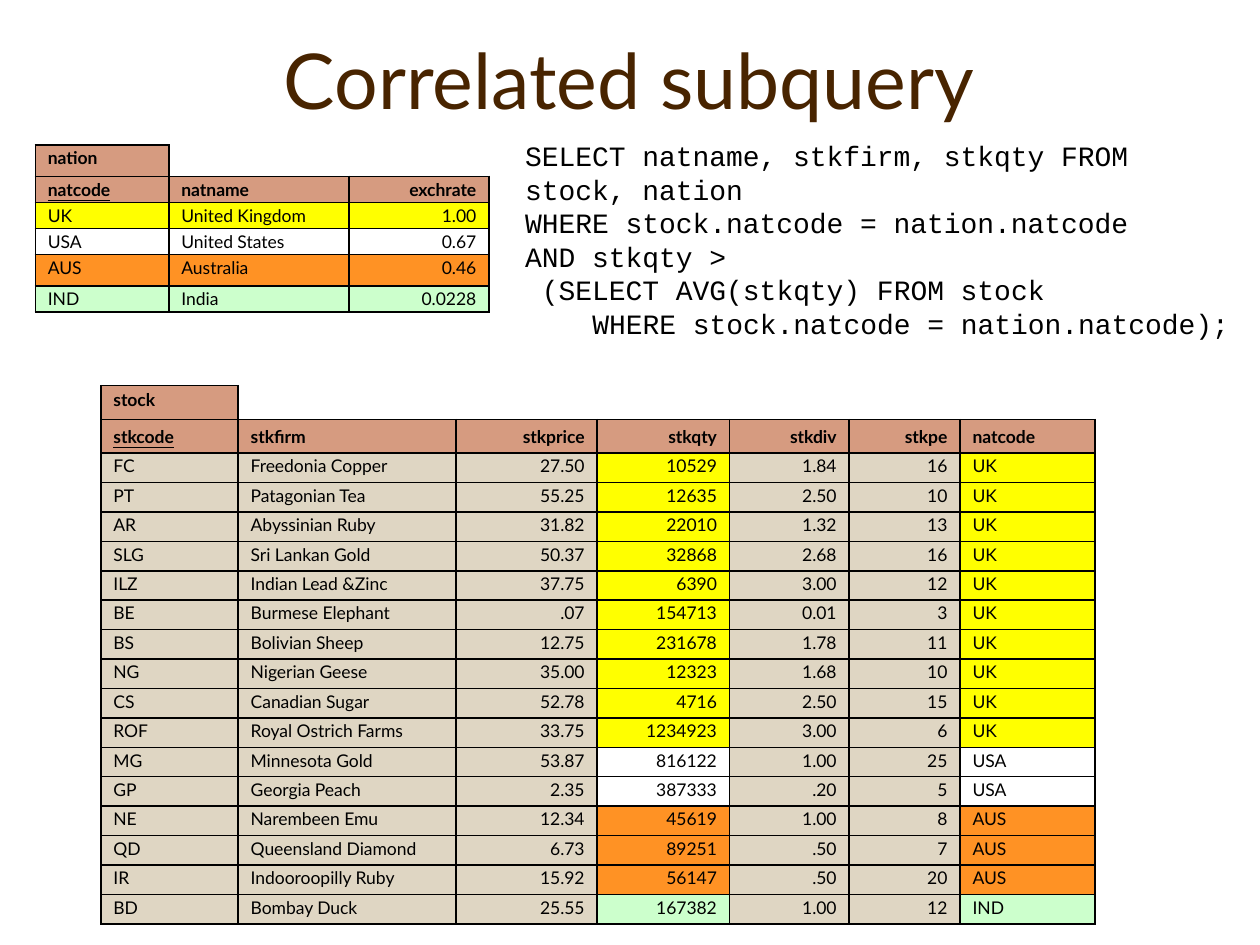
from lxml import etree
from pptx import Presentation
from pptx import util as u
from pptx.dml.color import RGBColor
from pptx.enum import text
from pptx.oxml import ns

BLACK = RGBColor(0x00, 0x00, 0x00)
BROWN = RGBColor(0x48, 0x24, 0x00)
CLAY = RGBColor(0xD6, 0x9B, 0x80)
SAND = RGBColor(0xDF, 0xD6, 0xC3)
NATION_COLOURS = {
    "UK": RGBColor(0xFF, 0xFF, 0x00),
    "USA": RGBColor(0xFF, 0xFF, 0xFF),
    "AUS": RGBColor(0xFF, 0x92, 0x24),
    "IND": RGBColor(0xCC, 0xFF, 0xCC),
}
NATION_HEADS = ["natcode", "natname", "exchrate"]
NATIONS = [
    ["UK", "United Kingdom", "1.00"],
    ["USA", "United States", "0.67"],
    ["AUS", "Australia", "0.46"],
    ["IND", "India", "0.0228"],
]
STOCK_HEADS = ["stkcode", "stkfirm", "stkprice", "stkqty", "stkdiv", "stkpe", "natcode"]
STOCKS = [
    ["FC", "Freedonia Copper", "27.50", "10529", "1.84", "16", "UK"],
    ["PT", "Patagonian Tea", "55.25", "12635", "2.50", "10", "UK"],
    ["AR", "Abyssinian Ruby", "31.82", "22010", "1.32", "13", "UK"],
    ["SLG", "Sri Lankan Gold", "50.37", "32868", "2.68", "16", "UK"],
    ["ILZ", "Indian Lead &Zinc", "37.75", "6390", "3.00", "12", "UK"],
    ["BE", "Burmese Elephant", ".07", "154713", "0.01", "3", "UK"],
    ["BS", "Bolivian Sheep", "12.75", "231678", "1.78", "11", "UK"],
    ["NG", "Nigerian Geese", "35.00", "12323", "1.68", "10", "UK"],
    ["CS", "Canadian Sugar", "52.78", "4716", "2.50", "15", "UK"],
    ["ROF", "Royal Ostrich Farms", "33.75", "1234923", "3.00", "6", "UK"],
    ["MG", "Minnesota Gold", "53.87", "816122", "1.00", "25", "USA"],
    ["GP", "Georgia Peach", "2.35", "387333", ".20", "5", "USA"],
    ["NE", "Narembeen Emu", "12.34", "45619", "1.00", "8", "AUS"],
    ["QD", "Queensland Diamond", "6.73", "89251", ".50", "7", "AUS"],
    ["IR", "Indooroopilly Ruby", "15.92", "56147", ".50", "20", "AUS"],
    ["BD", "Bombay Duck", "25.55", "167382", "1.00", "12", "IND"],
]
NUMERIC = {"exchrate", "stkprice", "stkqty", "stkdiv", "stkpe"}
QUERY = [
    (0, "SELECT natname, stkfirm, stkqty FROM stock, nation"),
    (0, "WHERE stock.natcode = nation.natcode"),
    (0, "AND stkqty >"),
    (1, "(SELECT AVG(stkqty) FROM stock"),
    (4, "WHERE stock.natcode = nation.natcode);"),
]


def add_span(para, words, font, size, colour):
    """Append one formatted run to a paragraph and return it."""
    span = para.add_run()
    span.text = words
    span.font.name = font
    span.font.size = u.Pt(size)
    span.font.color.rgb = colour
    return span


def add_title(page, box, words):
    """Place the title placeholder in the box."""
    title = page.shapes.title
    title.left, title.top, title.width, title.height = box
    frame = title.text_frame
    frame.vertical_anchor = text.MSO_ANCHOR.MIDDLE
    para = frame.paragraphs[0]
    para.alignment = text.PP_ALIGN.CENTER
    add_span(para, words, "Lato", 44, BROWN)


def set_borders(cell, drawn):
    """Rule the named cell sides in black and clear the others."""
    props = cell._tc.get_or_add_tcPr()
    for side in "LRTB":
        line = etree.SubElement(props, ns.qn(f"a:ln{side}"), w=str(u.Pt(1)))
        if side in drawn:
            fill = etree.SubElement(line, ns.qn("a:solidFill"))
            etree.SubElement(fill, ns.qn("a:srgbClr"), val=str(BLACK))
        else:
            etree.SubElement(line, ns.qn("a:noFill"))


def style_cell(cell, words, colour, margin, spacing=None, bold=False, right=False):
    """Fill a ruled cell with one line of text and return its run."""
    set_borders(cell, "LRTB")
    cell.fill.solid()
    cell.fill.fore_color.rgb = colour
    cell.margin_top = cell.margin_bottom = margin
    para = cell.text_frame.paragraphs[0]
    para.space_before = u.Pt(5)
    if spacing:
        para.line_spacing = spacing
    if right:
        para.alignment = text.PP_ALIGN.RIGHT
    span = add_span(para, words, "Lato", 10, BLACK)
    span.font.bold = bold
    return span


def clear_cell(cell, margin, first):
    """Leave a cell beside the name tab empty and unfilled."""
    set_borders(cell, "LB" if first else "B")
    cell.fill.background()
    cell.margin_top = cell.margin_bottom = margin
    para = cell.text_frame.paragraphs[0]
    etree.SubElement(para._p, ns.qn("a:endParaRPr"), sz="1000")


def add_relation(page, box, name, heads, records, widths, heights, margin,
                 tinted, base=None, tab_spacing=None, spacing=None):
    """Draw a database table with a name tab, heads and nation colours."""
    grid = page.shapes.add_table(len(records) + 2, len(heads), *box).table
    grid.first_row = grid.horz_banding = False
    for column, width in zip(grid.columns, widths):
        column.width = u.Inches(width)
    for row, height in zip(grid.rows, heights):
        row.height = u.Inches(height)

    style_cell(grid.cell(0, 0), name, CLAY, margin, tab_spacing, bold=True)
    for col in range(1, len(heads)):
        clear_cell(grid.cell(0, col), margin, col == 1)
    for col, head in enumerate(heads):
        right = head in NUMERIC
        span = style_cell(grid.cell(1, col), head, CLAY, margin, bold=True, right=right)
        span.font.underline = col == 0
        for row, record in enumerate(records, 2):
            nation = record[heads.index("natcode")]
            colour = NATION_COLOURS[nation] if head in tinted else base
            style_cell(grid.cell(row, col), record[col], colour, margin, spacing, right=right)


def add_query(page, box, lines):
    """Write the SQL lines, indented by whole character widths."""
    frame = page.shapes.add_textbox(*box).text_frame
    frame.word_wrap = True
    frame.auto_size = text.MSO_AUTO_SIZE.SHAPE_TO_FIT_TEXT
    for number, (indent, words) in enumerate(lines):
        para = frame.paragraphs[0] if number == 0 else frame.add_paragraph()
        if indent:
            para._p.get_or_add_pPr().set("marL", str(u.Pt(9.6 * indent)))
        add_span(para, words, "Courier New", 16, BLACK)


def inches(*lengths):
    """Turn a box given in inches into slide lengths."""
    return [u.Inches(length) for length in lengths]


def build_page(deck):
    """Build the correlated subquery slide."""
    page = deck.slides.add_slide(deck.slide_layouts[5])
    add_title(page, inches(1.96, 0, 6.07, 1.25), "Correlated subquery")
    add_relation(page, inches(0.28, 1.15, 3.6, 1.3), "nation", NATION_HEADS, NATIONS,
                 [1.06, 1.43, 1.11], [0.25, 0.2, 0.2, 0.2, 0.25, 0.2],
                 u.Inches(0.02), NATION_HEADS)
    add_relation(page, inches(0.8, 3.06, 7.89, 4.27), "stock", STOCK_HEADS, STOCKS,
                 [1.09, 1.73, 1.12, 1.05, 0.95, 0.88, 1.07],
                 [0.27, 0.26] + [0.23] * len(STOCKS), u.Inches(0.05),
                 ["stkqty", "natcode"], SAND, 0.88, 0.8)
    add_query(page, inches(4.07, 1.05, 5.84, 1.72), QUERY)


deck = Presentation()
deck.slide_width, deck.slide_height = inches(10, 7.5)
build_page(deck)
deck.save("out.pptx")
